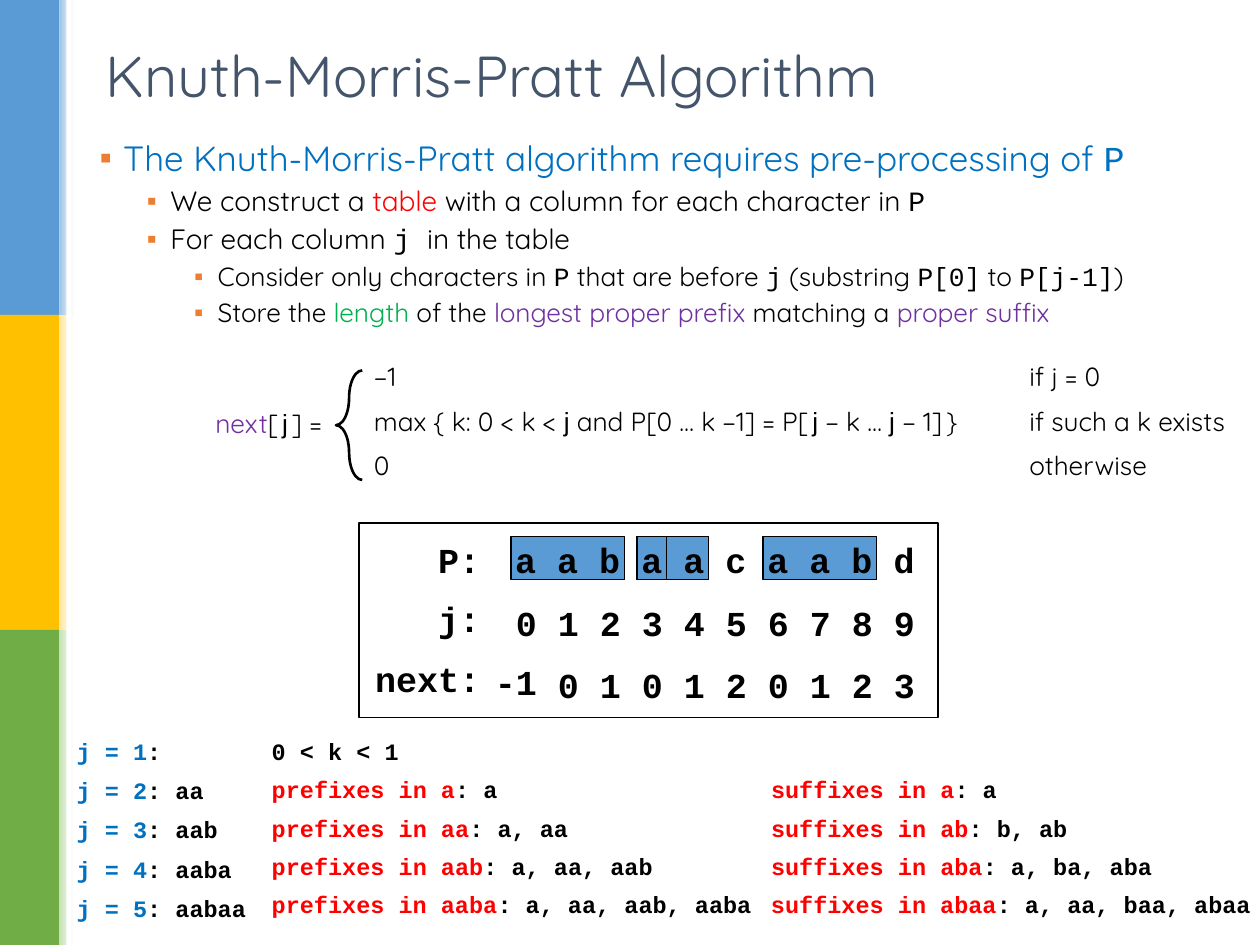
from dataclasses import dataclass
from typing import Optional, Sequence

from lxml.etree import SubElement
from pptx import Presentation
from pptx.dml.color import RGBColor
from pptx.enum.shapes import MSO_SHAPE as Preset
from pptx.enum.text import MSO_ANCHOR as Anchor, MSO_AUTO_SIZE as AutoSize, PP_ALIGN as Align
from pptx.oxml.ns import qn
from pptx.util import Pt

SANS, MONO, ARIAL = "Quicksand", "Courier New", "Arial"
BLACK, WHITE, RED, BLUE, PURPLE = "000000", "FFFFFF", "FF0000", "0070C0", "7030A0"
GREEN, ORANGE, SLATE, CELL_BLUE = "00B050", "ED7D31", "44546A", "5B9BD5"
COLUMN_PITCH = 24
TRACE_SIZE = 13.4


@dataclass(frozen=True)
class Box:
    left: float
    top: float
    width: float
    height: float

    def lengths(self):
        return Pt(self.left), Pt(self.top), Pt(self.width), Pt(self.height)


@dataclass(frozen=True)
class Style:
    size: float
    name: str = SANS
    color: str = BLACK
    bold: bool = False


@dataclass(frozen=True)
class Run:
    text: str
    color: Optional[str] = None
    name: Optional[str] = None
    size: Optional[float] = None


@dataclass(frozen=True)
class Bullet:
    level: int
    style: Style
    runs: Sequence[Run]


@dataclass(frozen=True)
class Stripe:
    color: str
    tint: str


@dataclass(frozen=True)
class Trace:
    pattern: str
    details: Sequence[Sequence[Run]]


MATRIX = Style(20, MONO, bold=True)
FORMULA = Style(15)
TRACE = Style(TRACE_SIZE, MONO, bold=True)
HEADING, POINT, DETAIL = Style(20, color=BLUE), Style(16), Style(15)

STRIPES = [Stripe(CELL_BLUE, "9DC3E6"), Stripe("FFC000", "FFE699"), Stripe("70AD47", "C5E0B4")]

BULLETS = [
    Bullet(0, HEADING, [Run("The Knuth-Morris-Pratt algorithm requires pre-processing of "), Run("P", name=MONO)]),
    Bullet(1, POINT, [Run("We construct a "), Run("table", RED),
                      Run(" with a column for each character in "), Run("P", name=MONO)]),
    Bullet(1, POINT, [Run("For each column "), Run("j ", name=MONO), Run("in the table")]),
    Bullet(2, DETAIL, [Run("Consider only characters in "), Run("P", name=MONO), Run(" that are before "),
                       Run("j", name=MONO), Run(" (substring "), Run("P[0]", name=MONO), Run(" to "),
                       Run("P[j-1]", name=MONO), Run(")")]),
    Bullet(2, DETAIL, [Run("Store the "), Run("length ", GREEN), Run("of the "),
                       Run("longest proper prefix", PURPLE), Run(" matching a "), Run("proper suffix", PURPLE)]),
]

CASES = [
    [Run("−1\tif j = 0")],
    [Run("max { k: 0 < k < "), Run("j", name=ARIAL), Run(" and P[0 … k −1] = P["), Run(" ", size=8),
     Run("j ", name=ARIAL), Run("− k … "), Run("j ", name=ARIAL), Run("− 1]"), Run(" ", size=8),
     Run("}\tif such a k exists")],
    [Run("0\totherwise")],
]
NEXT_OF_J = [Run("next", PURPLE), Run("["), Run(" ", size=8), Run("j", name=ARIAL), Run(" ", size=8), Run("] =")]

NEXT_VALUES = [-1, 0, 1, 0, 1, 2, 0, 1, 2, 3]
HIGHLIGHTS = [(0, 3), (3, 2), (6, 3), (3, 1)]


def affixes(kind: str, text: str, members: str) -> list[Run]:
    return [Run(f"{kind} in {text}", RED), Run(f": {members}")]


TRACES = [
    Trace("", [[Run("0 < k < 1")]]),
    Trace(" aa", [affixes("prefixes", "a", "a"), affixes("suffixes", "a", "a")]),
    Trace(" aab", [affixes("prefixes", "aa", "a, aa"), affixes("suffixes", "ab", "b, ab")]),
    Trace(" aaba", [affixes("prefixes", "aab", "a, aa, aab"), affixes("suffixes", "aba", "a, ba, aba")]),
    Trace(" aabaa", [affixes("prefixes", "aaba", "a, aa, aab, aaba"),
                     affixes("suffixes", "abaa", "a, aa, baa, abaa")]),
]


def rgb(color: str) -> RGBColor:
    return RGBColor.from_string(color)


def space_before(paragraph, percent: int) -> None:
    spacing = SubElement(paragraph._p.get_or_add_pPr(), qn("a:spcBef"))
    SubElement(spacing, qn("a:spcPct"), val=str(percent * 1000))


def add_tab_stop(paragraph, position: float) -> None:
    stops = SubElement(paragraph._p.get_or_add_pPr(), qn("a:tabLst"))
    SubElement(stops, qn("a:tab"), pos=str(Pt(position)), algn="l")


def add_bullet(paragraph, level: int) -> None:
    properties = paragraph._p.get_or_add_pPr()
    properties.set("marL", str(Pt(13.5 + 27 * level)))
    properties.set("indent", str(Pt(-13.5)))
    SubElement(SubElement(properties, qn("a:buClr")), qn("a:srgbClr"), val=ORANGE)
    SubElement(properties, qn("a:buFont"), typeface=ARIAL)
    SubElement(properties, qn("a:buChar"), char="▪")


def write_runs(paragraph, runs: Sequence[Run], style: Style) -> None:
    font = paragraph.font
    font.size, font.name, font.bold = Pt(style.size), style.name, style.bold
    font.color.rgb = rgb(style.color)
    for item in runs:
        run = paragraph.add_run()
        run.text = item.text
        if item.color:
            run.font.color.rgb = rgb(item.color)
        if item.name:
            run.font.name = item.name
        if item.size:
            run.font.size = Pt(item.size)


def add_text(slide, box: Box, lines: Sequence[Sequence[Run]], style: Style,
             align=Align.LEFT, tab: Optional[float] = None) -> None:
    frame = slide.shapes.add_textbox(*box.lengths()).text_frame
    frame.word_wrap = True
    for index, runs in enumerate(lines):
        paragraph = frame.add_paragraph() if index else frame.paragraphs[0]
        paragraph.alignment = align
        space_before(paragraph, 50)
        if tab:
            add_tab_stop(paragraph, tab)
        write_runs(paragraph, runs, style)


def add_preset(slide, preset, box: Box, fill: Optional[str] = None, line_width: float = 0):
    shape = slide.shapes.add_shape(preset, *box.lengths())
    shape.shadow.inherit = False
    if fill:
        shape.fill.solid()
        shape.fill.fore_color.rgb = rgb(fill)
    else:
        shape.fill.background()
    if line_width:
        shape.line.color.rgb = rgb(BLACK)
        shape.line.width = Pt(line_width)
    else:
        shape.line.fill.background()
    return shape


def add_stripes(slide) -> None:
    for index, stripe in enumerate(STRIPES):
        add_preset(slide, Preset.RECTANGLE, Box(0, 180 * index, 34, 180), stripe.color)
        fade = add_preset(slide, Preset.RECTANGLE, Box(34, 180 * index, 8.5, 180))
        fade.fill.gradient()
        fade.fill.gradient_angle = 0
        for stop, color in zip(fade.fill.gradient_stops, (stripe.tint, WHITE)):
            stop.color.rgb = rgb(color)
    add_preset(slide, Preset.RECTANGLE, Box(38, 0, 3, 540), WHITE)


def place(shape, box: Box):
    shape.left, shape.top, shape.width, shape.height = box.lengths()
    shape.text_frame.auto_size = AutoSize.NONE
    return shape.text_frame


def fill_placeholders(slide) -> None:
    title = place(slide.shapes.title, Box(53.3, 18.7, 620.6, 47.5))
    title.vertical_anchor = Anchor.MIDDLE
    title.paragraphs[0].alignment = Align.LEFT
    write_runs(title.paragraphs[0], [Run("Knuth-Morris-Pratt Algorithm")], Style(33, color=SLATE))
    body = place(slide.placeholders[1], Box(49.7, 77, 620.6, 399))
    for index, bullet in enumerate(BULLETS):
        paragraph = body.add_paragraph() if index else body.paragraphs[0]
        paragraph.level = bullet.level
        paragraph.line_spacing = 0.9
        space_before(paragraph, 30)
        add_bullet(paragraph, bullet.level)
        write_runs(paragraph, bullet.runs, bullet.style)


def add_formula(slide) -> None:
    add_text(slide, Box(206.6, 202.3, 505.4, 80), CASES, FORMULA, tab=374.5)
    add_text(slide, Box(116, 229, 96.5, 25), [NEXT_OF_J], FORMULA)
    brace = add_preset(slide, Preset.LEFT_BRACE, Box(192, 211.7, 15, 62.6), line_width=1.5)
    brace.adjustments[0] = 1.439


def add_matrix(slide) -> None:
    for column, count in HIGHLIGHTS:
        box = Box(292 + COLUMN_PITCH * column, 306.7, COLUMN_PITCH * count - 7, 24.5)
        add_preset(slide, Preset.RECTANGLE, box, CELL_BLUE, 0.75)
    add_text(slide, Box(205, 304, 76.5, 104.4), [[Run("P:")], [Run("j:")], [Run("next:")]], MATRIX, Align.RIGHT)
    add_text(slide, Box(287.3, 304, 254, 31), [[Run("a a b a a c a a b d")]], MATRIX)
    add_text(slide, Box(275.75, 340, 54.7, 67), [[Run(" 0")], [Run(str(NEXT_VALUES[0]))]], MATRIX)
    for column, value in enumerate(NEXT_VALUES[1:], 1):
        for top, number in ((340, column), (375.8, value)):
            add_text(slide, Box(275.75 + COLUMN_PITCH * column, top, 45.4, 31), [[Run(f" {number}")]], MATRIX)
    add_preset(slide, Preset.RECTANGLE, Box(205, 299, 331, 111), line_width=1)


def add_traces(slide) -> None:
    for index, trace in enumerate(TRACES):
        label = [Run(f"j = {index + 1}", BLUE), Run(f":{trace.pattern}")]
        add_text(slide, Box(36.7, 417.6 + 22.4 * index, 118.8, 24.3), [label], TRACE)
        for left, runs in zip((148.2, 433.5), trace.details):
            width = sum(len(run.text) for run in runs) * TRACE_SIZE * 0.6 + 15.5
            add_text(slide, Box(left, 417.6 + 21.9 * index, width, 24), [runs], TRACE)


def main() -> None:
    presentation = Presentation()
    presentation.slide_width, presentation.slide_height = Pt(720), Pt(540)
    slide = presentation.slides.add_slide(presentation.slide_layouts[1])
    add_stripes(slide)
    fill_placeholders(slide)
    add_formula(slide)
    add_matrix(slide)
    add_traces(slide)
    presentation.save("out.pptx")


if __name__ == "__main__":
    main()
